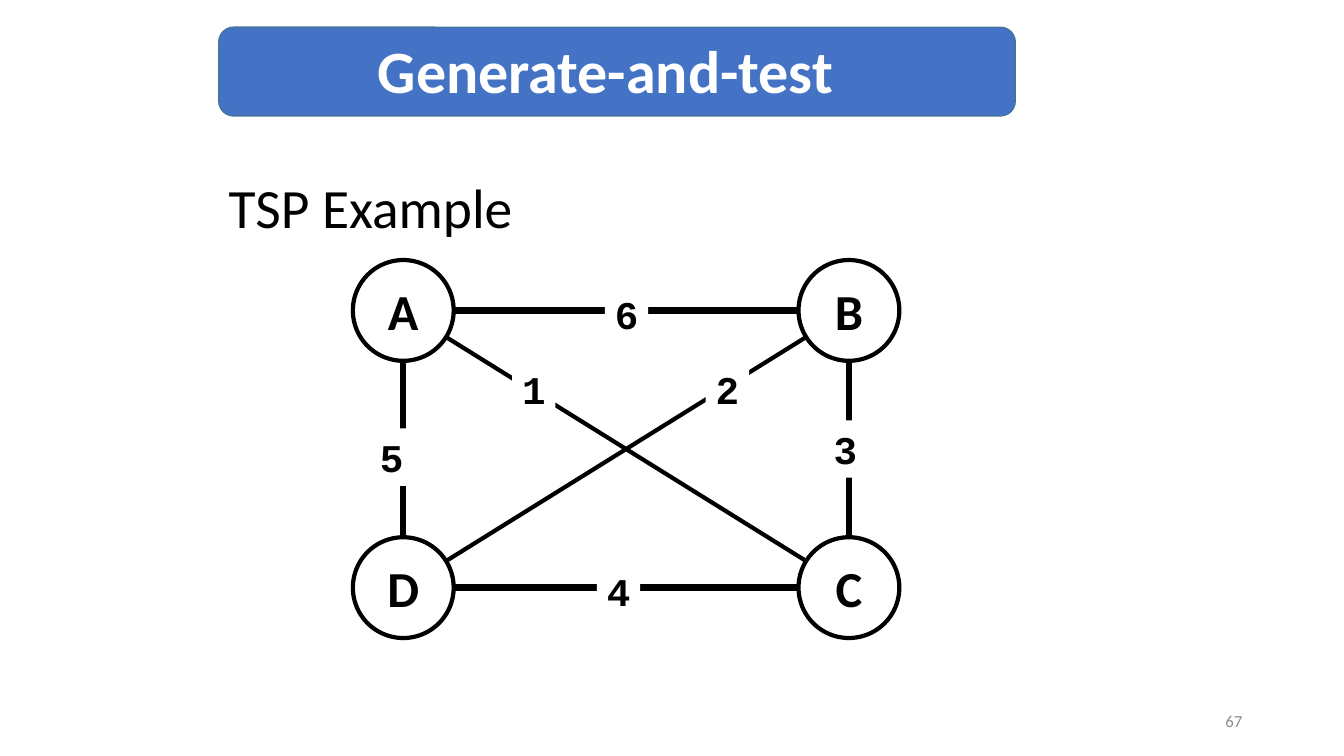
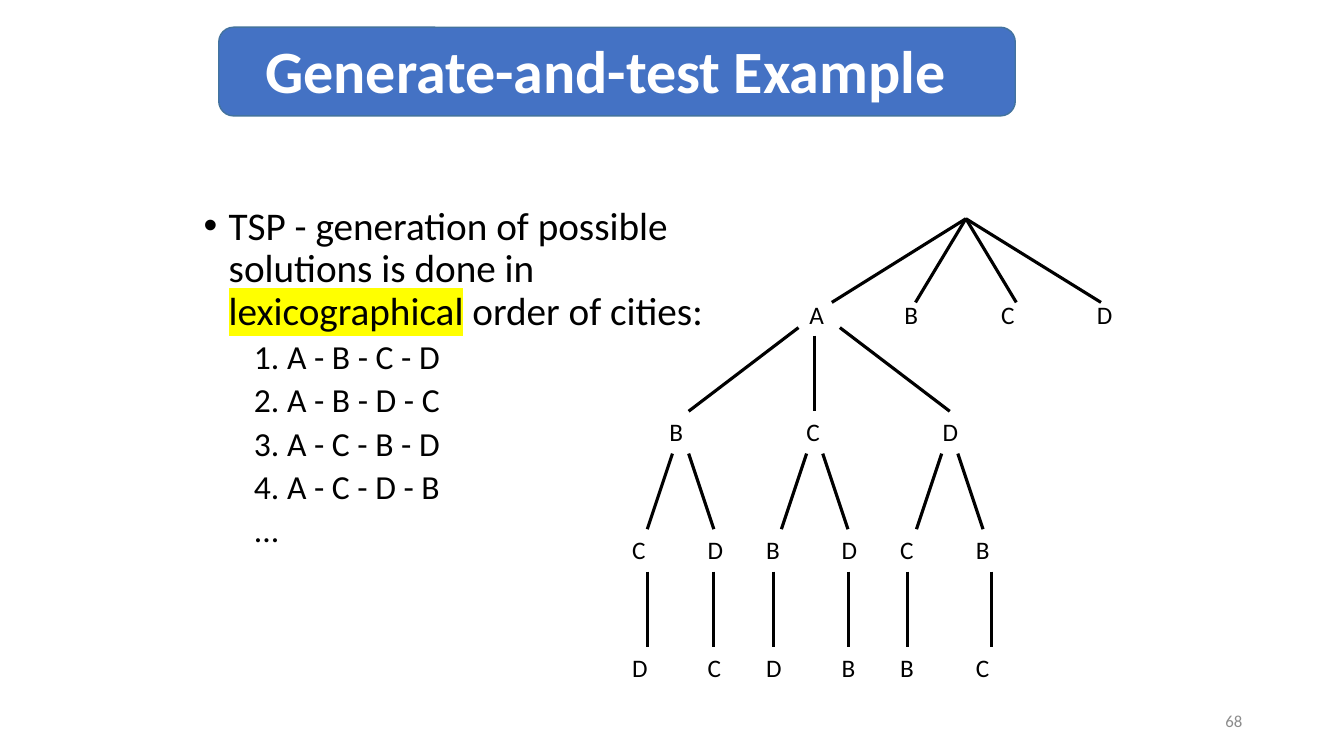
"""Build two slides on generate-and-test: a weighted city graph and its search tree."""
from dataclasses import dataclass

from lxml import etree
from pptx import Presentation
from pptx.dml.color import RGBColor
from pptx.enum.shapes import MSO_CONNECTOR, MSO_SHAPE
from pptx.enum.text import MSO_ANCHOR, PP_ALIGN
from pptx.oxml.ns import qn
from pptx.util import Inches, Pt


@dataclass(frozen=True)
class Theme:
    font: str = "Calibri"
    weight_font: str = "Courier New"
    black: RGBColor = RGBColor(0x00, 0x00, 0x00)
    white: RGBColor = RGBColor(0xFF, 0xFF, 0xFF)
    gray: RGBColor = RGBColor(0x8C, 0x8C, 0x8C)
    band: RGBColor = RGBColor(0x44, 0x72, 0xC4)
    band_edge: RGBColor = RGBColor(0x43, 0x73, 0x9E)
    highlight: str = "FFFF00"
    title: float = 42.9
    heading: float = 39.6
    city: float = 36
    weight: float = 28
    body: float = 28
    item: float = 24
    node: float = 18
    number: float = 12


theme = Theme()


def add_box(page, at, text="", size=theme.node, color=theme.black, bold=False, font=theme.font,
            align=PP_ALIGN.LEFT, anchor=MSO_ANCHOR.TOP, wrap=False,
            kind=None, fill=None, edge=None, edge_width=0):
    place = [Inches(length) for length in at]
    if kind is None:
        box = page.shapes.add_textbox(*place)
    else:
        box = page.shapes.add_shape(kind, *place)
        box.shadow.inherit = False
        if fill is None:
            box.fill.background()
        else:
            box.fill.solid()
            box.fill.fore_color.rgb = fill
        if edge is None:
            box.line.fill.background()
        else:
            box.line.color.rgb = edge
            box.line.width = Pt(edge_width)
    frame = box.text_frame
    frame.word_wrap = wrap
    frame.vertical_anchor = anchor
    if text:
        para = frame.paragraphs[0]
        para.text = text
        para.alignment = align
        para.font.name = font
        para.font.size = Pt(size)
        para.font.bold = bold
        para.font.color.rgb = color
    return box


def add_line(page, start, end, width):
    line = page.shapes.add_connector(
        MSO_CONNECTOR.STRAIGHT, *[Inches(length) for length in (*start, *end)])
    line.line.color.rgb = theme.black
    line.line.width = Pt(width)
    etree.SubElement(line._element.spPr, qn("a:effectLst"))


deck = Presentation()
deck.slide_width = Inches(13.33)
deck.slide_height = Inches(7.5)

pages = []
for title, number in (("Generate-and-test", "67"), ("Generate-and-test Example", "68")):
    page = deck.slides.add_slide(deck.slide_layouts[6])
    add_box(page, (9.42, 6.95, 3, 0.4), number, theme.number, theme.gray,
            align=PP_ALIGN.RIGHT, anchor=MSO_ANCHOR.MIDDLE, wrap=True)
    add_box(page, (2.17, 0.27, 7.9, 0.88), kind=MSO_SHAPE.ROUNDED_RECTANGLE,
            fill=theme.band, edge=theme.band_edge, edge_width=1)
    add_box(page, (2.17, 0.3, 7.67, 0.78), title, theme.title, theme.white, bold=True,
            align=PP_ALIGN.CENTER, anchor=MSO_ANCHOR.MIDDLE, wrap=True)
    pages.append(page)
graph_page, tree_page = pages

add_box(graph_page, (2.17, 1.67, 9, 0.75), "TSP Example", theme.heading,
        anchor=MSO_ANCHOR.MIDDLE, wrap=True)

left, right, top, bottom = 4, 8.42, 3.08, 5.83
add_line(graph_page, (left, top), (right, bottom), 3)
add_line(graph_page, (right, top), (left, bottom), 3)
add_box(graph_page, (left, top, right - left, bottom - top), kind=MSO_SHAPE.RECTANGLE,
        edge=theme.black, edge_width=4.5)

cities = {"A": (left, top), "B": (right, top), "C": (right, bottom), "D": (left, bottom)}
for city, (x, y) in cities.items():
    add_box(graph_page, (x - 0.5, y - 0.5, 1, 1), city, theme.city, bold=True,
            align=PP_ALIGN.CENTER, anchor=MSO_ANCHOR.MIDDLE,
            kind=MSO_SHAPE.OVAL, fill=theme.white, edge=theme.black, edge_width=3)

weights = {"4": (5.92, 5.58), "6": (6, 2.83), "3": (8.17, 4.17),
           "5": (3.67, 4.25), "1": (5.08, 3.58), "2": (7, 3.58)}
for weight, (x, y) in weights.items():
    add_box(graph_page, (x, y, 0.43, 0.57), weight, theme.weight, bold=True,
            font=theme.weight_font, kind=MSO_SHAPE.RECTANGLE, fill=theme.white)

body = add_box(tree_page, (1.92, 2, 5.25, 4.5), wrap=True).text_frame
para = body.paragraphs[0]
for text in ("TSP - generation of possible solutions is done in ",
             "lexicographical", " order of cities:"):
    span = para.add_run()
    span.text = text
    if text == "lexicographical":
        mark = etree.SubElement(span._r.get_or_add_rPr(), qn("a:highlight"))
        etree.SubElement(mark, qn("a:srgbClr"), val=theme.highlight)
for text in ("1. A - B - C - D", "2. A - B - D - C", "3. A - C - B - D",
             "4. A - C - D - B", "..."):
    para = body.add_paragraph()
    para.text = text
    para.space_before = Pt(5)
for index, para in enumerate(body.paragraphs):
    para.line_spacing = 0.9
    properties = para._p.get_or_add_pPr()
    if index == 0:
        properties.set("marL", str(Inches(0.25)))
        properties.set("indent", str(-Inches(0.25)))
        etree.SubElement(properties, qn("a:buFont"), typeface="Arial")
        etree.SubElement(properties, qn("a:buChar"), char="•")
    else:
        properties.set("marL", str(Inches(0.5)))
    para.font.name = theme.font
    para.font.size = Pt(theme.item if index else theme.body)
    para.font.color.rgb = theme.black

leaf_lefts = (6.17, 6.92, 7.5, 8.25, 8.83, 9.58)
levels = (
    (2.92, "ABCD", (7.93, 8.87, 9.83, 10.78)),
    (4.08, "BCD", (6.54, 7.9, 9.25)),
    (5.25, "CDBDCB", leaf_lefts),
    (6.42, "DCDBBC", leaf_lefts),
)
for y, letters, lefts in levels:
    for letter, x in zip(letters, lefts):
        add_box(tree_page, (x, y, 0.38, 0.4), letter)

branches = [((9.58, 2.17), (x, 3)) for x in (8.25, 9.08, 10.08, 10.92)]
branches += [((7.92, 3.25), (6.83, 4.08)), ((8.08, 3.33), (8.08, 4.08)),
             ((8.33, 3.25), (9.42, 4.08))]
for center in (6.75, 8.08, 9.42):
    for side in (-1, 1):
        branches.append(((center + side * 0.08, 4.5), (center + side * 0.33, 5.25)))
branches += [((x, 5.67), (x, 6.42)) for x in (6.42, 7.08, 7.67, 8.42, 9, 9.83)]
for start, end in branches:
    add_line(tree_page, start, end, 2.25)

deck.save("out.pptx")
